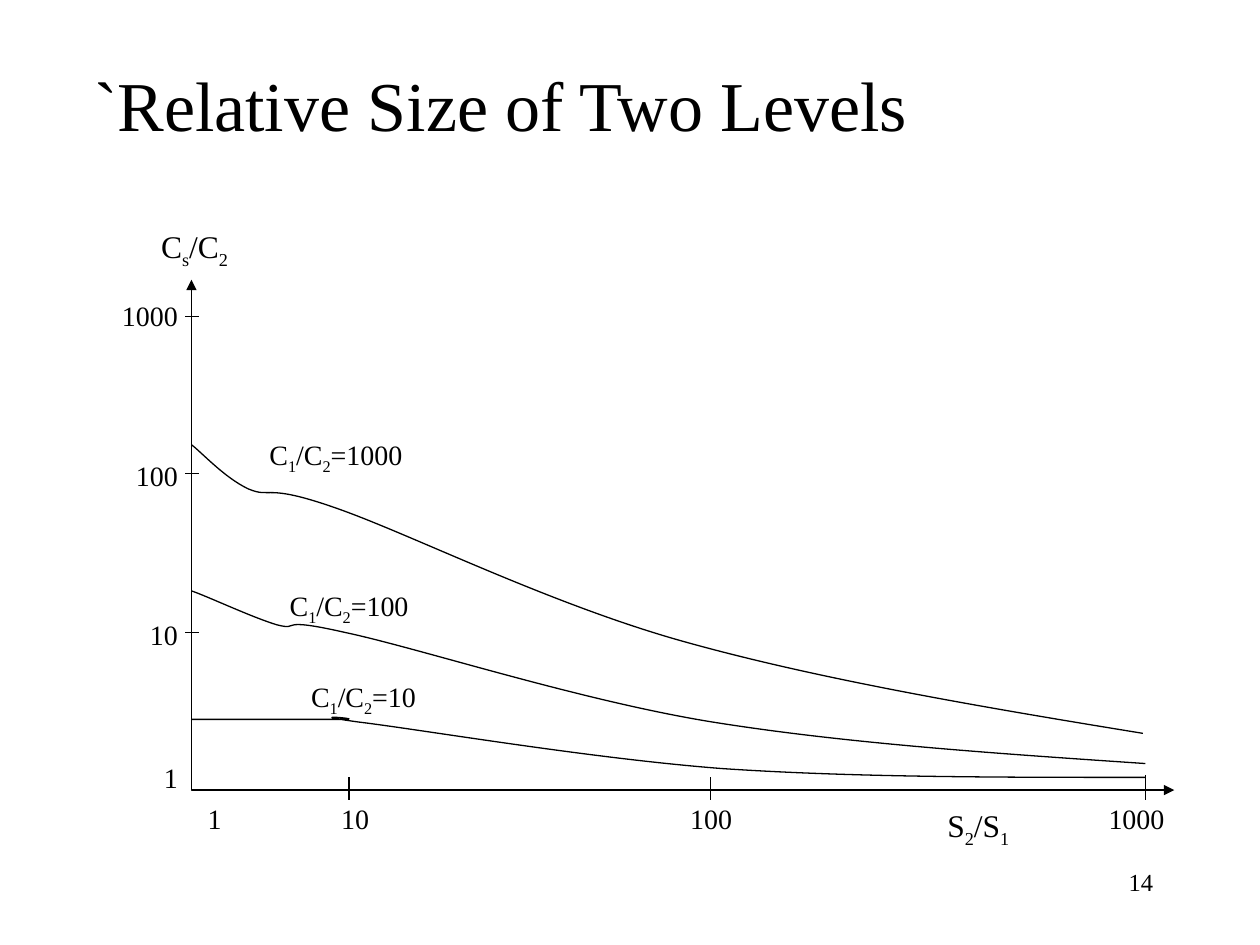
from pptx import Presentation
from pptx import util as u
from pptx.dml.color import RGBColor
from pptx.enum import shapes, text
from pptx.oxml.ns import qn
from lxml import etree

FONT, INK = "Times New Roman", "000000"
ORIGIN, X_END, Y_END = (1.52, 6.27), 9.32, 2.22

# Runs are split by "_": every second piece is a subscript.
LABELS = [  # text, size, left, top, width, height
    ("C_1_/C_2_=1000", 16, 2.04, 3.42, 1.4, 0.41),
    ("C_1_/C_2_=100", 16, 2.2, 4.62, 1.25, 0.41),
    ("C_1_/C_2_=10", 16, 2.37, 5.34, 1.15, 0.41),
    ("C_s_/C_2_", 18, 1.18, 1.75, 0.8, 0.44),
    ("S_2_/S_1_", 18, 7.42, 6.35, 0.8, 0.44),
]
Y_LABELS = [("1000", 0), ("100", 72.1), ("10", 71.6), ("1", 62.7)]  # space before, pt
X_LABELS = ["1", "10", "100", "1000"]
X_TABS = [1.06, 3.83, 7.15]
Y_TICKS = [5.02, 3.76, 2.51]
X_TICKS = [(2.77, 6.17), (5.64, 6.17), (9.09, 6.15)]  # x, top

CURVES = [  # start point, then three points for each cubic segment
    [(1.52, 3.53), (1.6, 3.59), (1.78, 3.79), (1.97, 3.88),
     (2.16, 3.96), (2.09, 3.83), (2.66, 4.03),
     (3.24, 4.23), (4.35, 4.79), (5.42, 5.09),
     (6.49, 5.39), (7.78, 5.61), (9.07, 5.82)],
    [(1.52, 4.69), (1.64, 4.73), (2, 4.9), (2.2, 4.96),
     (2.4, 5.01), (2.17, 4.89), (2.74, 5.02),
     (3.31, 5.14), (4.6, 5.56), (5.65, 5.73),
     (6.71, 5.9), (7.9, 5.98), (9.09, 6.06)],
    [(1.52, 5.71), (2.01, 5.71), (2.5, 5.71), (2.72, 5.71),
     (2.94, 5.71), (2.34, 5.66), (2.84, 5.73),
     (3.34, 5.79), (4.69, 6.02), (5.73, 6.1),
     (6.77, 6.17), (7.93, 6.17), (9.09, 6.17)],
]


def color(hex_color):
    """Turn a hex string into a colour."""
    return RGBColor.from_string(hex_color)


def add_run(p, words, size, subscript=False):
    """Add one run in the slide font."""
    r = p.add_run()
    r.text = words
    r.font.name, r.font.size = FONT, u.Pt(size)
    r.font.color.rgb = color(INK)
    if subscript:
        r.font._element.set("baseline", "-25000")


def add_box(parent, left, top, width, height, wrap=False):
    """Add an empty text box and return its text frame."""
    sp = parent.add_textbox(*map(u.Inches, (left, top, width, height)))
    sp.text_frame.word_wrap = wrap
    return sp.text_frame


def style_line(sp):
    """Give a line or outline its thin black stroke."""
    sp.line.color.rgb = color(INK)
    sp.line.width = u.Pt(0.74)


def add_tick(parent, x1, y1, x2, y2):
    """Add a straight tick mark without a shadow."""
    cx = parent.add_connector(shapes.MSO_CONNECTOR.STRAIGHT,
                              *map(u.Inches, (x1, y1, x2, y2)))
    style_line(cx)
    etree.SubElement(cx._element.spPr, qn("a:effectLst"))


def add_outline(parent, points):
    """Add an open, unfilled outline through the points."""
    pts = [(u.Inches(x), u.Inches(y)) for x, y in points]
    builder = parent.build_freeform(*pts[0])
    builder.add_line_segments(pts[1:], close=False)
    sp = builder.convert_to_shape()
    sp.shadow.inherit = False
    sp.fill.background()
    style_line(sp)
    return sp


def add_curve(parent, points):
    """Add an outline whose points are joined by cubic segments."""
    sp = add_outline(parent, points)
    steps = list(sp._element.iter(qn("a:lnTo")))
    for i in range(0, len(steps), 3):
        cubic = etree.Element(qn("a:cubicBezTo"))
        steps[i].addprevious(cubic)
        for step in steps[i:i + 3]:
            cubic.append(step[0])
            step.getparent().remove(step)


def add_axes(parent):
    """Add both axes as one outline with an arrow at each end."""
    sp = add_outline(parent, [(ORIGIN[0], Y_END), ORIGIN, (X_END, ORIGIN[1])])
    ln = sp.line._get_or_add_ln()
    for end in ("a:headEnd", "a:tailEnd"):
        etree.SubElement(ln, qn(end), type="triangle")


def add_axis_labels(parent):
    """Add the values beside the vertical and below the horizontal axis."""
    tf = add_box(parent, 0.87, 2.32, 0.64, 4.04)
    for i, (words, gap) in enumerate(Y_LABELS):
        p = tf.add_paragraph() if i else tf.paragraphs[0]
        p.alignment = text.PP_ALIGN.RIGHT
        p.space_before = u.Pt(gap)
        add_run(p, words, 16)
    p = add_box(parent, 1.55, 6.31, 7.9, 0.37, wrap=True).paragraphs[0]
    tabs = etree.SubElement(p._p.get_or_add_pPr(), qn("a:tabLst"))
    for pos in X_TABS:
        etree.SubElement(tabs, qn("a:tab"), pos=str(u.Inches(pos)), algn="l")
    add_run(p, "\t".join(X_LABELS), 16)


prs = Presentation()
prs.slide_width, prs.slide_height = u.Inches(10), u.Inches(7.5)
slide = prs.slides.add_slide(prs.slide_layouts[6])

number = add_box(slide.shapes, 7.17, 6.83, 2.08, 0.5, wrap=True).paragraphs[0]
number.alignment = text.PP_ALIGN.RIGHT
add_run(number, "14", 14)
title = add_box(slide.shapes, 0.65, 0.29, 8.02, 1.06, wrap=True)
title.vertical_anchor = text.MSO_ANCHOR.MIDDLE
add_run(title.paragraphs[0], "`Relative Size of Two Levels", 40)

plot = slide.shapes.add_group_shape().shapes
add_axes(plot)
for y in Y_TICKS:
    add_tick(plot, 1.47, y, 1.58, y)
for x, top in X_TICKS:
    add_tick(plot, x, top, x, 6.35)
add_axis_labels(plot)
for curve in CURVES:
    add_curve(plot, curve)
for words, size, *place in LABELS:
    p = add_box(plot, *place).paragraphs[0]
    for i, piece in enumerate(words.split("_")):
        if piece:
            add_run(p, piece, size, subscript=i % 2 == 1)

prs.save("out.pptx")
